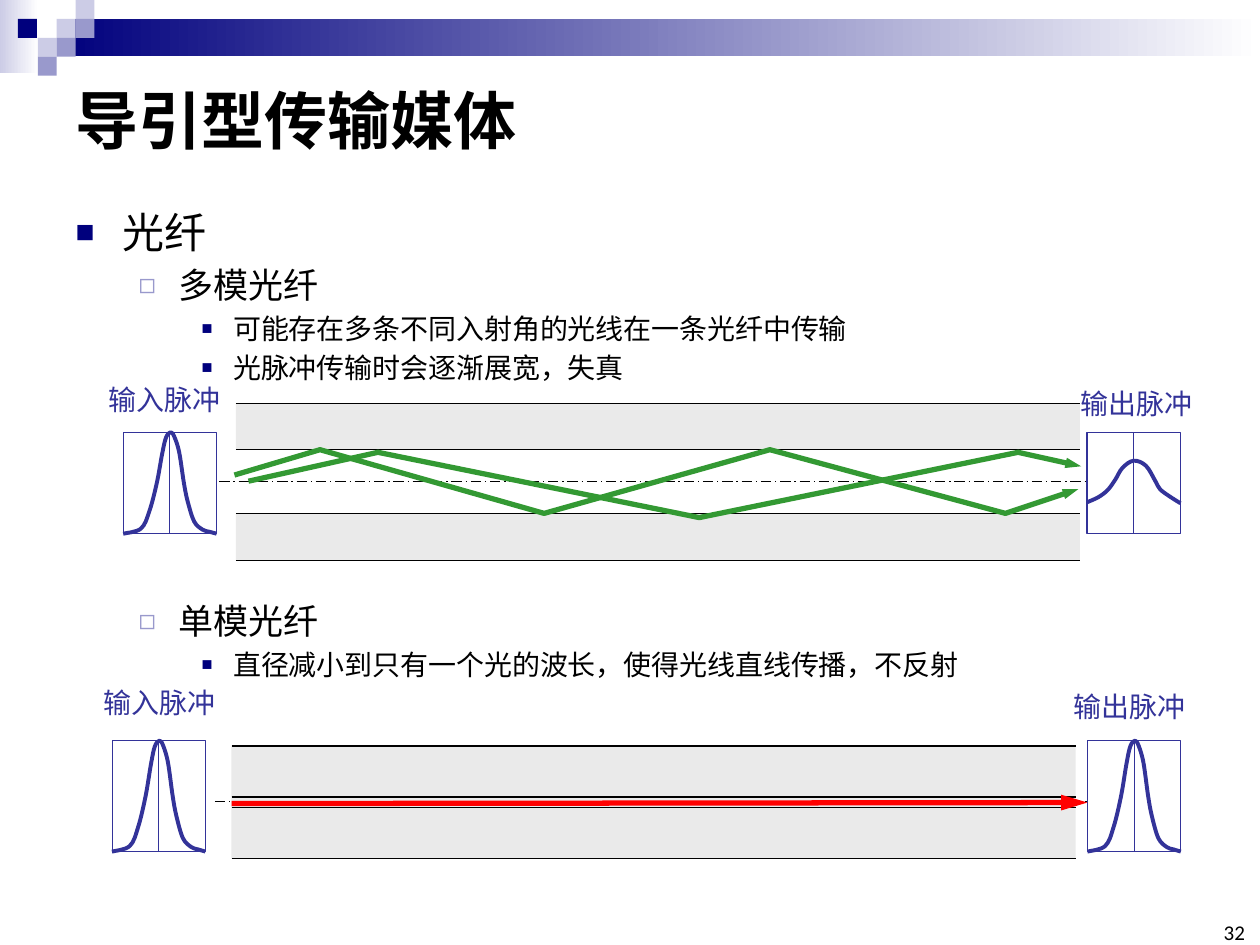
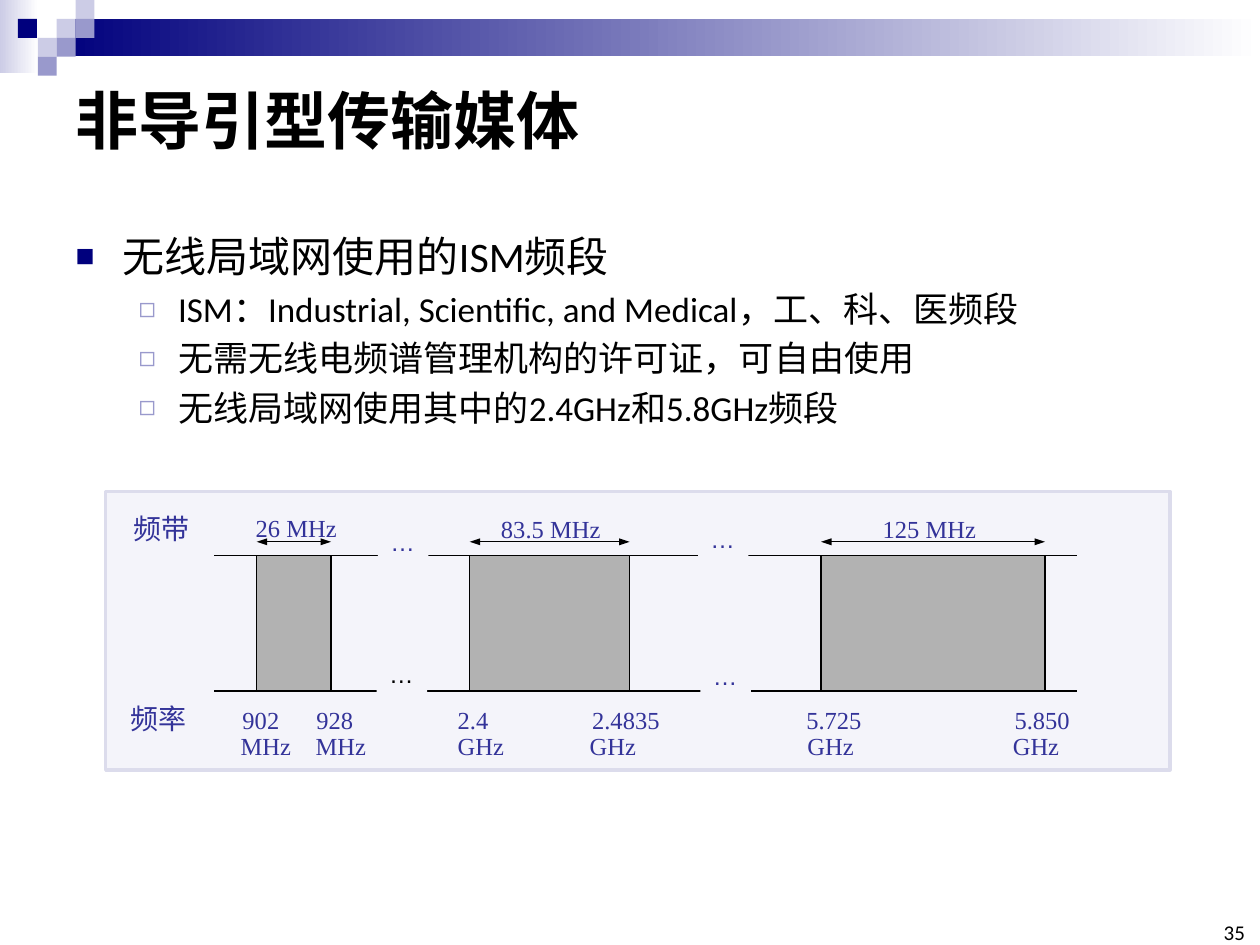
from dataclasses import dataclass

from lxml import etree
from pptx import Presentation
from pptx.dml.color import RGBColor
from pptx.enum.dml import MSO_LINE
from pptx.enum.shapes import MSO_CONNECTOR, MSO_SHAPE
from pptx.enum.text import MSO_ANCHOR, PP_ALIGN
from pptx.oxml.ns import qn
from pptx.util import Pt

STRAIGHT = MSO_CONNECTOR.STRAIGHT
RECTANGLE = MSO_SHAPE.RECTANGLE
DASH_DOT = MSO_LINE.LONG_DASH_DOT
TOP, MIDDLE, BOTTOM = MSO_ANCHOR.TOP, MSO_ANCHOR.MIDDLE, MSO_ANCHOR.BOTTOM
LEFT, RIGHT = PP_ALIGN.LEFT, PP_ALIGN.RIGHT


@dataclass(frozen=True)
class Theme:
    navy: str = "00007D"
    lavender: str = "9999CC"
    pale: str = "CCCCE6"
    white: str = "FFFFFF"
    black: str = "000000"
    ink: str = "333399"
    ray: str = "339933"
    beam: str = "FF0000"
    cladding: str = "EAEAEA"
    panel: str = "F4F4FA"
    panel_edge: str = "DCDCEC"
    band: str = "B2B2B2"
    cjk: str = "Noto Sans CJK SC"
    latin: str = "Calibri"
    serif: str = "Times New Roman"
    symbol: str = "Arial"
    title_size: int = 36
    level_sizes: tuple = (24, 20, 16)
    label_size: int = 16
    figure_size: int = 14
    page_size: int = 12


THEME = Theme()

# Per outline level: left margin, hanging indent, bullet, its colour and size in percent
LEVELS = (
    (27, 27, "■", THEME.navy, 75),
    (58.5, 22.5, "◻", THEME.lavender, 80),
    (90, 18, "■", THEME.navy, 65),
)

# Pulse outlines as fractions of the box: across, up
NARROW_PULSE = (
    (0, 0), (0.19, 0.05), (0.28, 0.22), (0.36, 0.5), (0.42, 0.8), (0.46, 0.95),
    (0.51, 1), (0.55, 0.95), (0.6, 0.8), (0.65, 0.5), (0.69, 0.32),
    (0.76, 0.12), (0.85, 0.04), (0.92, 0.02), (1, 0),
)
WIDE_PULSE = (
    (0, 0.31), (0.12, 0.36), (0.22, 0.43), (0.3, 0.53), (0.38, 0.65), (0.5, 0.72),
    (0.63, 0.67), (0.73, 0.52), (0.78, 0.44), (0.88, 0.37), (1, 0.3),
)

# Arrowhead width and length
SLIM_HEAD = {"w": "sm", "len": "med"}
LONG_HEAD = {"w": "med", "len": "lg"}


def rgb(color):
    return RGBColor.from_string(color)


# Shapes and lines
def add_block(slide, left, top, width, height, fill, edge=None, weight=0.75):
    block = slide.shapes.add_shape(RECTANGLE, Pt(left), Pt(top), Pt(width), Pt(height))
    block.shadow.inherit = False
    if isinstance(fill, tuple):
        block.fill.gradient()
        block.fill.gradient_angle = 0
        for stop, color in zip(block.fill.gradient_stops, fill):
            stop.color.rgb = rgb(color)
    else:
        block.fill.solid()
        block.fill.fore_color.rgb = rgb(fill)
    if edge:
        style_line(block, edge, weight)
    else:
        block.line.fill.background()
    return block


def style_line(shape, color, weight, dash=None, arrows=(), head=SLIM_HEAD):
    shape.line.color.rgb = rgb(color)
    shape.line.width = Pt(weight)
    if dash:
        shape.line.dash_style = dash
    outline = shape._element.spPr.find(qn("a:ln"))
    for end in arrows:
        etree.SubElement(outline, qn(f"a:{end}"), type="triangle", **head)


def add_line(slide, start, end, color=THEME.black, weight=0.75, **line_options):
    line = slide.shapes.add_connector(STRAIGHT, *map(Pt, start + end))
    style_line(line, color, weight, **line_options)
    etree.SubElement(line._element.spPr, qn("a:effectLst"))
    return line


def add_open_outline(slide, points, color, weight, arrows=()):
    corners = [(Pt(x), Pt(y)) for x, y in points]
    builder = slide.shapes.build_freeform(*corners[0], scale=1.0)
    builder.add_line_segments(corners[1:], close=False)
    outline = builder.convert_to_shape()
    outline.shadow.inherit = False
    outline.fill.background()
    style_line(outline, color, weight, arrows=arrows)
    return outline


def round_corners(outline, points):
    """Turn each straight segment into a Bezier curve with Catmull-Rom tangents."""
    knots = [(Pt(x) - outline.left, Pt(y) - outline.top) for x, y in points]
    padded = [knots[0]] + knots + [knots[-1]]
    segments = list(outline._element.iter(qn("a:lnTo")))
    for segment, a, b, c, d in zip(segments, padded, padded[1:], padded[2:], padded[3:]):
        leaving = [q + (r - p) / 6 for p, q, r in zip(a, b, c)]
        arriving = [r - (s - q) / 6 for q, r, s in zip(b, c, d)]
        curve = etree.Element(qn("a:cubicBezTo"))
        for x, y in (leaving, arriving, c):
            etree.SubElement(curve, qn("a:pt"), x=str(round(x)), y=str(round(y)))
        segment.getparent().replace(segment, curve)


# Text
def add_run(paragraph, text, size, color, font, bold=False):
    run = paragraph.add_run()
    run.text = text
    run.font.size = Pt(size)
    run.font.bold = bold
    run.font.color.rgb = rgb(color)
    run.font.name = font
    etree.SubElement(run._r.get_or_add_rPr(), qn("a:ea"), typeface=THEME.cjk)


def add_frame(slide, left, top, width, height, anchor=TOP, wrap=True, inset=True):
    box = slide.shapes.add_textbox(Pt(left), Pt(top), Pt(width), Pt(height))
    frame = box.text_frame
    frame.word_wrap = wrap
    frame.vertical_anchor = anchor
    if not inset:
        frame.margin_left = frame.margin_right = 0
        frame.margin_top = frame.margin_bottom = 0
    return box


def add_text(slide, place, text, size, color=THEME.ink, font=THEME.cjk, bold=False,
             align=LEFT, spacing=None, fill=None, **frame_options):
    box = add_frame(slide, *place, **frame_options)
    if fill:
        box.fill.solid()
        box.fill.fore_color.rgb = rgb(fill)
    paragraph = box.text_frame.paragraphs[0]
    paragraph.alignment = align
    paragraph.line_spacing = spacing
    add_run(paragraph, text, size, color, font, bold)
    return box.text_frame


def add_outline(slide, top, height, items):
    frame = add_frame(slide, 36.2, top, 648, height).text_frame
    for index, (level, text) in enumerate(items):
        paragraph = frame.add_paragraph() if index else frame.paragraphs[0]
        margin, hanging, bullet, color, percent = LEVELS[level]
        paragraph.level = level
        if level == 0:
            paragraph.line_spacing = 1.5
        props = paragraph._p.get_or_add_pPr()
        props.set("marL", str(Pt(margin)))
        props.set("indent", str(-Pt(hanging)))
        space_before = etree.SubElement(props, qn("a:spcBef"))
        etree.SubElement(space_before, qn("a:spcPct"), val="20000")
        bullet_color = etree.SubElement(props, qn("a:buClr"))
        etree.SubElement(bullet_color, qn("a:srgbClr"), val=color)
        etree.SubElement(props, qn("a:buSzPct"), val=str(percent * 1000))
        etree.SubElement(props, qn("a:buFont"), typeface=THEME.symbol)
        etree.SubElement(props, qn("a:buChar"), char=bullet)
        add_run(paragraph, text, THEME.level_sizes[level], THEME.black, THEME.latin)


def add_tabbed_run(paragraph, cells, stops):
    tabs = etree.SubElement(paragraph._p.get_or_add_pPr(), qn("a:tabLst"))
    for stop in stops:
        etree.SubElement(tabs, qn("a:tab"), pos=str(Pt(stop)), algn="l")
    add_run(paragraph, "".join("\t" + cell for cell in cells),
            THEME.figure_size, THEME.ink, THEME.serif)


# Shared slide frame
def start_slide(deck, title, page):
    slide = deck.slides.add_slide(deck.slide_layouts[6])
    add_block(slide, 0, 0, 22, 42, (THEME.pale, THEME.white))
    add_block(slide, 32.4, 10.8, 687.6, 21.4, (THEME.navy, THEME.white))
    tile = 10.8
    for column, row, color in (
        (3, 1, THEME.pale), (4, 0, THEME.pale), (4, 1, THEME.lavender),
        (2, 2, THEME.pale), (0.95, 1, THEME.navy), (3, 2, THEME.lavender),
        (2, 3, THEME.lavender),
    ):
        add_block(slide, column * tile, row * tile, tile, tile, color)
    add_text(slide, (36, 36, 648, 64), title, THEME.title_size, THEME.black,
             bold=True, anchor=MIDDLE)
    add_text(slide, (694.8, 527.8, 16.6, 12.2), page, THEME.page_size, THEME.black,
             THEME.latin, align=RIGHT, anchor=BOTTOM, inset=False)
    return slide


# Optical fibre parts
def add_fibre(slide, left, upper, lower, thickness, axis_y, core_fill=None):
    width = 482.4
    if core_fill:
        add_block(slide, left, upper + thickness, width, lower - upper - thickness, core_fill)
    for top in (upper, lower):
        add_block(slide, left, top, width, thickness, THEME.cladding)
        for y in (top, top + thickness):
            add_line(slide, (left, y), (left + width, y))
    add_line(slide, (left - 9.5, axis_y), (left + width + 8, axis_y), dash=DASH_DOT)


def add_pulse(slide, left, top, height, knots, caption, caption_left, caption_top, edge):
    width = 53.4
    box = add_block(slide, left, top, width, height, THEME.white, THEME.ink, edge)
    center = left + width / 2
    axis = add_line(slide, (center, top), (center, top + height), THEME.ink, 0.5)
    axis.begin_connect(box, 0)
    axis.end_connect(box, 2)
    points = [(left + x * width, top + (1 - y) * height) for x, y in knots]
    round_corners(add_open_outline(slide, points, THEME.ink, 2.25), points)
    add_text(slide, (caption_left, caption_top, 79.2, 26.6), caption,
             THEME.label_size, wrap=False)


def build_guided_media(deck):
    slide = start_slide(deck, "导引型传输媒体", "32")
    add_outline(slide, 100, 126.7, (
        (0, "光纤"),
        (1, "多模光纤"),
        (2, "可能存在多条不同入射角的光线在一条光纤中传输"),
        (2, "光脉冲传输时会逐渐展宽，失真"),
    ))

    # Multimode: reflected rays and a widened pulse
    add_fibre(slide, 134.8, 230.4, 293.5, 26.6, 275)
    add_pulse(slide, 70.4, 247, 58, NARROW_PULSE, "输入脉冲", 55, 215.3, 0.75)
    add_pulse(slide, 621.2, 247, 58, WIDE_PULSE, "输出脉冲", 610.5, 217.4, 0.75)
    for ray in (
        ((142, 275), (216, 258.5), (399.6, 295.8), (581.8, 258.5), (617.8, 266.5)),
        ((134, 271.5), (182.9, 257), (311, 293.4), (440, 257), (574.6, 293.4),
         (616.3, 279.5)),
    ):
        add_open_outline(slide, ray, THEME.ray, 3, ["tailEnd"])

    # Single mode: one straight ray, pulse kept
    add_fibre(slide, 132.3, 426.3, 461.3, 29.1, 458, THEME.cladding)
    add_pulse(slide, 64, 423.2, 63.4, NARROW_PULSE, "输入脉冲", 52.1, 388.1, 0.5)
    add_pulse(slide, 621.4, 423.2, 63.4, NARROW_PULSE, "输出脉冲", 606.5, 390.5, 0.5)
    add_line(slide, (132.3, 459.2), (621.4, 458.6), THEME.beam, 3,
             arrows=["tailEnd"], head=LONG_HEAD)
    add_outline(slide, 339.2, 64, (
        (1, "单模光纤"),
        (2, "直径减小到只有一个光的波长，使得光线直线传播，不反射"),
    ))


def build_unguided_media(deck):
    slide = start_slide(deck, "非导引型传输媒体", "35")
    add_outline(slide, 113.8, 142.6, (
        (0, "无线局域网使用的ISM频段"),
        (1, "ISM：Industrial, Scientific, and Medical，工、科、医频段"),
        (1, "无需无线电频谱管理机构的许可证，可自由使用"),
        (1, "无线局域网使用其中的2.4GHz和5.8GHz频段"),
    ))

    # Panel, row captions and band limits on tab stops
    add_block(slide, 60.4, 280.8, 608.2, 159.1, THEME.panel, THEME.panel_edge, 2)
    add_text(slide, (69.1, 291.6, 46.8, 23.8), "频带", THEME.label_size,
             spacing=0.85, wrap=False)
    limits = add_text(slide, (67.7, 400.3, 556.6, 38.2), "频率", THEME.label_size,
                      spacing=0.85)
    add_tabbed_run(limits.paragraphs[0],
                   ("902", "928", "2.4", "2.4835", "5.725", "5.850"),
                   (63.8, 106, 186.8, 263.6, 386, 505))
    units = limits.add_paragraph()
    units.line_spacing = 0.85
    add_tabbed_run(units, ("MHz", "MHz", "GHz", "GHz", "GHz", "GHz"),
                   (62.8, 105.6, 186.8, 262.2, 386.6, 504))

    # Bands: left, width, bandwidth and the place of its label
    band_top, band_bottom = 317.4, 394.8
    for y in (band_top, band_bottom):
        add_line(slide, (122.4, y), (615.6, y))
    for left, width, bandwidth, label_left, label_top, label_width in (
        (146.7, 42.5, "26 MHz", 139, 289.6, 61.2),
        (268.4, 91.4, "83.5 MHz", 279.2, 290, 72),
        (469.2, 128, "125 MHz", 497.3, 290, 68.4),
    ):
        add_block(slide, left, band_top, width, band_bottom - band_top,
                  THEME.band, THEME.black)
        add_line(slide, (left, 309.6), (left + width, 309.6),
                 arrows=["headEnd", "tailEnd"])
        add_text(slide, (label_left, label_top, label_width, 24.5), bandwidth,
                 THEME.figure_size, font=THEME.serif, wrap=False)

    # Gaps in the axes
    for left, top, color in (
        (216, 297.4, THEME.ink), (215.3, 373, THEME.black),
        (398.9, 296, THEME.ink), (400.3, 374.4, THEME.ink),
    ):
        add_text(slide, (left, top, 28.8, 24.5), "…", THEME.figure_size, color,
                 THEME.symbol, fill=THEME.panel, wrap=False)


def main():
    deck = Presentation()
    deck.slide_width, deck.slide_height = Pt(720), Pt(540)
    build_guided_media(deck)
    build_unguided_media(deck)
    deck.save("out.pptx")


if __name__ == "__main__":
    main()
